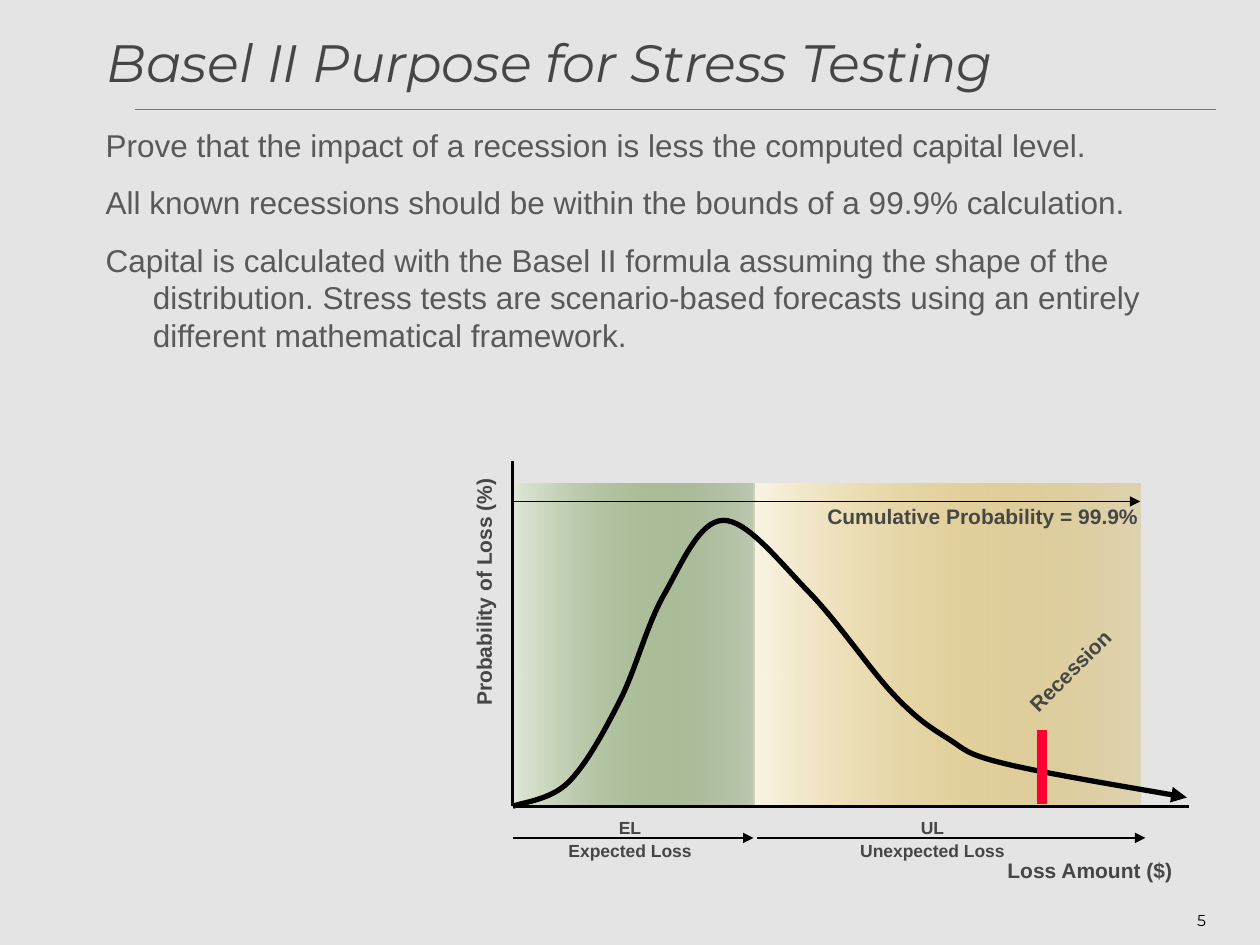
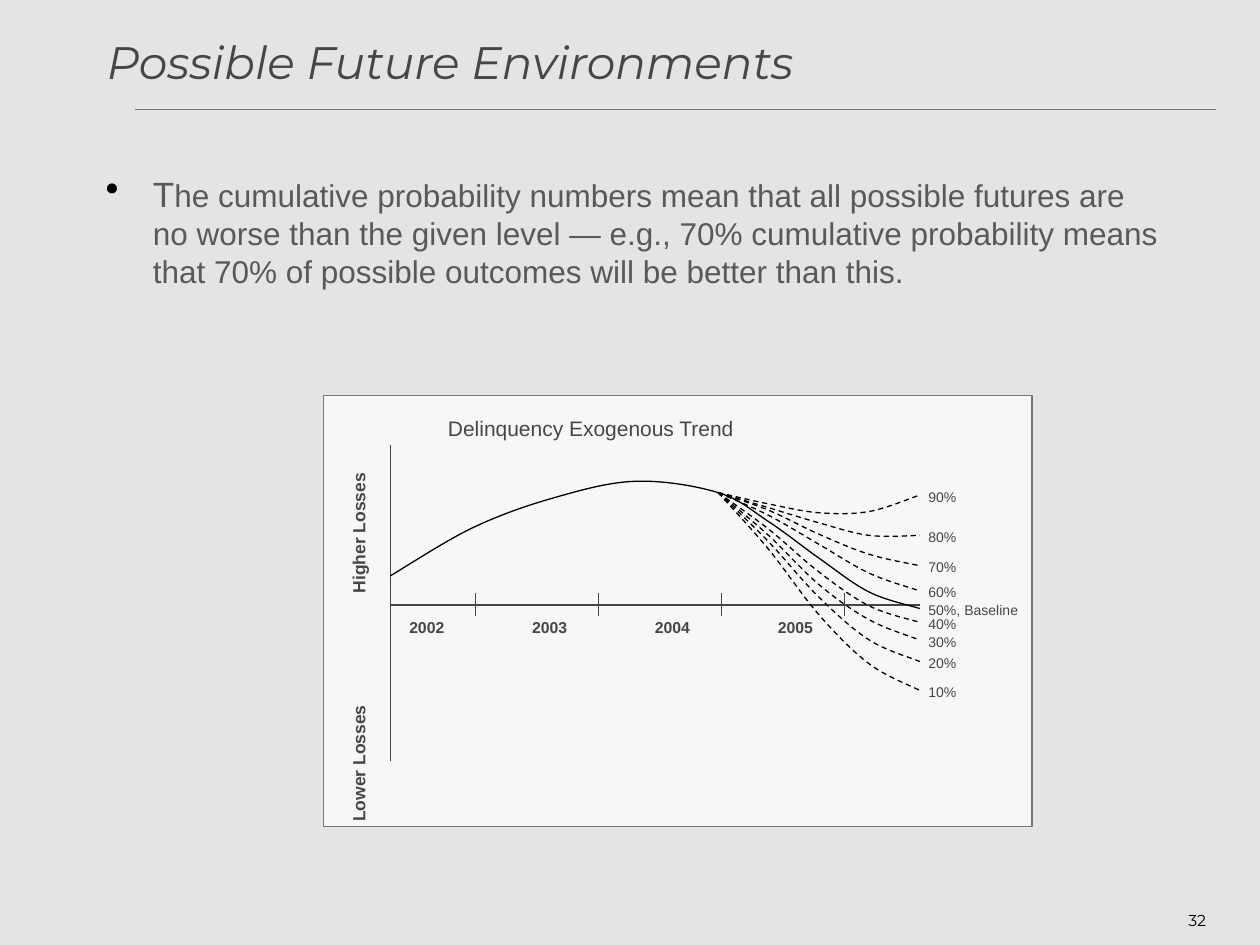
from lxml import etree
from pptx import Presentation
from pptx.dml.color import RGBColor
from pptx.enum.dml import MSO_LINE
from pptx.enum.shapes import MSO_CONNECTOR, MSO_SHAPE
from pptx.enum.text import MSO_ANCHOR, PP_ALIGN
from pptx.oxml.ns import qn
from pptx.util import Inches, Pt

LEFT, MID, RIGHT = PP_ALIGN.LEFT, PP_ALIGN.CENTER, PP_ALIGN.RIGHT
TOP, MIDDLE = MSO_ANCHOR.TOP, MSO_ANCHOR.MIDDLE
STRAIGHT, RECT, DASH = MSO_CONNECTOR.STRAIGHT, MSO_SHAPE.RECTANGLE, MSO_LINE.DASH
SANS, HEAD = "Arial", "Montserrat"
BLACK, DARK, GREY, RULE = "000000", "464646", "595959", "777777"
hue = RGBColor.from_string

deck = Presentation()
deck.slide_width, deck.slide_height = Inches(10), Inches(7.5)
CELL = deck.slide_width // 100  # grid of 100 columns by 75 rows


def write(slide, text, place, size, color=DARK, font=SANS, bold=False, italic=False,
          align=LEFT, anchor=TOP, before=0, lead=1, hang=0, turn=0):
    """Place text at (column, row, columns, rows), one paragraph a line."""
    box = slide.shapes.add_textbox(*[round(n * CELL) for n in place])
    box.rotation = turn
    frame = box.text_frame
    frame.word_wrap, frame.vertical_anchor = True, anchor
    frame.text = text
    for para in frame.paragraphs:
        para.alignment, para.line_spacing = align, lead
        para.space_before = Pt(before)
        if hang:
            props = para._p.get_or_add_pPr()
            props.set("marL", str(round(hang * CELL)))
            props.set("indent", str(round(-hang * CELL)))
        face = para.runs[0].font
        face.name, face.size, face.bold, face.italic = font, Pt(size), bold, italic
        face.color.rgb = hue(color)
    return frame


def stroke(slide, knots, color=BLACK, width=0.75, arrow=False, dash=False):
    """Draw a straight line through two knots, or a smooth curve through more."""
    spots = [(round(x * CELL), round(y * CELL)) for x, y in knots]
    if len(spots) == 2:
        form = slide.shapes.add_connector(STRAIGHT, *spots[0], *spots[1])
    else:
        # Each knot's tangent is parallel to the chord between its neighbours
        chain = [spots[0], *spots, spots[-1]]
        steps = []
        for a, b, c, d in zip(chain, chain[1:], chain[2:], chain[3:]):
            steps += [[q + (r - p) // 6 for p, q, r in zip(a, b, c)],
                      [r - (s - q) // 6 for q, r, s in zip(b, c, d)], c]
        pen = slide.shapes.build_freeform(*spots[0])
        pen.add_line_segments(steps, close=False)
        form = pen.convert_to_shape()
        form.fill.background()
        track = form._element.find(".//" + qn("a:path"))
        for i, step in enumerate(track.findall(qn("a:lnTo"))):
            if i % 3 == 0:
                curve = etree.SubElement(track, qn("a:cubicBezTo"))
            curve.append(step[0])
            track.remove(step)
    form.line.color.rgb, form.line.width = hue(color), Pt(width)
    if dash:
        form.line.dash_style = DASH
    props = form._element.spPr
    if arrow:
        etree.SubElement(props.find(qn("a:ln")), qn("a:tailEnd"), type="triangle")
    etree.SubElement(props, qn("a:effectLst"))


# Shared background, rule, title and page number
back = deck.slide_master.background.fill
back.solid()
back.fore_color.rgb = hue("E4E4E4")
pages = []
for title, size, number in [("Basel II Purpose for Stress Testing", 30, "5"),
                            ("Possible Future Environments", 26, "32")]:
    page = deck.slides.add_slide(deck.slide_layouts[6])
    stroke(page, [(10.7, 8.7), (96.5, 8.7)], RULE)
    write(page, title, (7.5, 2.5, 86, 4.7), size, font=HEAD, italic=True, anchor=MIDDLE)
    write(page, number, (75.9, 71, 20.8, 4), 9, BLACK, HEAD, align=RIGHT, anchor=MIDDLE)
    pages.append(page)
basel, future = pages
body = dict(color=GREY, before=11.2, hang=3.75)

# Purpose: statements
write(basel, "Prove that the impact of a recession is less the computed capital level.\n"
      "All known recessions should be within the bounds of a 99.9% calculation.\n"
      "Capital is calculated with the Basel II formula assuming the shape of the "
      "distribution. Stress tests are scenario-based forecasts using an entirely "
      "different mathematical framework.", (7.4, 9.5, 86.1, 23), 18, **body)

# Purpose: unexpected and expected loss zones
base, split, end = 64, 59.8, 90.5
for left, span, pale, deep in [(split, end - split, "FAF5E5", "CC9900"),
                               (40.9, 19, "DFE7D7", "336600")]:
    zone = basel.shapes.add_shape(
        RECT, *[round(n * CELL) for n in (left, 38.4, span, base - 38.4)])
    zone.shadow.inherit = False
    zone.line.fill.background()
    zone.fill.gradient()
    zone.fill.gradient_angle = 0
    for stop, shade, spot in zip(zone.fill.gradient_stops, (pale, deep), (0, 1)):
        stop.color.rgb, stop.position = hue(shade), spot
    etree.SubElement(stop._gs[0], qn("a:alpha"), val="22000")

# Purpose: axes, loss curve, spans and recession mark
axis = 40.7
for tip in [(axis, 36.6), (94.4, base)]:
    stroke(basel, [(axis, base), tip], width=1.5)
stroke(basel, [(axis, base), (45.1, 62.1), (49.2, 55.6), (52.7, 47.2), (57.4, 41.3),
               (64.2, 47), (70.9, 55.1), (75.2, 58.6), (79.7, 60.6), (94.2, 63.3)],
       width=3, arrow=True)
for left, right, row in [(axis, split, 66.5), (split + 0.3, end + 0.4, 66.5),
                         (axis, end, 39.8)]:
    stroke(basel, [(left, row), (right, row)], arrow=True)
stroke(basel, [(82.7, 63.8), (82.7, 57.9)], "FF0033", 6)

# Futures: bulleted statement with a larger first letter
para = write(future, "T", (7.4, 13.2, 86.1, 54), 20, **body).paragraphs[0]
rest = para.add_run()
rest.text = ("he cumulative probability numbers mean that all possible futures are no worse "
             "than the given level — e.g., 70% cumulative probability means that 70% of "
             "possible outcomes will be better than this.")
rest.font.name, rest.font.size, rest.font.color.rgb = SANS, Pt(18), hue(GREY)
props = para._p.get_or_add_pPr()
tint = etree.SubElement(props, qn("a:buClr"))
etree.SubElement(tint, qn("a:srgbClr"), val=BLACK)
etree.SubElement(props, qn("a:buSzPct"), val="110000")
etree.SubElement(props, qn("a:buChar"), char="•")

# Futures: panel, axes and year ticks
panel = future.shapes.add_shape(
    RECT, *[round(n * CELL) for n in (25.7, 31.4, 56.2, 34.2)])
panel.shadow.inherit = False
panel.fill.solid()
panel.fill.fore_color.rgb = hue("F7F7F7")
panel.line.color.rgb, panel.line.width = hue(RULE), Pt(0.75)
start, zero, last = 31, 48, 73
stroke(future, [(start, 35.3), (start, 60.4)], DARK, 1)
stroke(future, [(start, zero), (last, zero)], DARK, 1)
for i in range(4):
    tick = 37.75 + 9.75 * i
    stroke(future, [(tick, zero - 0.9), (tick, zero + 0.9)], DARK)
    write(future, str(2002 + i), (tick - 6.25, zero + 0.7, 12, 2.4), 9,
          bold=True, before=2.2, lead=0.9)

# Futures: past trend, then scenarios fanning out at equal steps
now, level = 57, 39.1
past = [(start + 6.5 * i, row) for i, row in enumerate([45.7, 41.9, 39.5, 38.2])]
for name, rows in [("90%", (40, 40.7, 40.6, 39.3)),
                   ("80%", (40.3, 41.5, 42.5, 42.5)),
                   ("70%", (40.5, 42.4, 44, 44.9)),
                   ("60%", (40.9, 43.2, 45.5, 46.9)),
                   ("50%, Baseline", (41.4, 44.3, 47, 48.3)),
                   ("40%", (42, 45.4, 48.1, 49.4)),
                   ("30%", (42.5, 46.4, 49.2, 50.8)),
                   ("20%", (43, 47.4, 50.8, 52.5)),
                   ("10%", (43.6, 48.8, 52.7, 54.8))]:
    main = "Baseline" in name
    fan = [(now + 4 * i, row) for i, row in enumerate((level, *rows))]
    stroke(future, past + fan if main else fan, dash=not main)
    write(future, name, (last - 0.3, rows[-1] - 0.9, 10, 2.2), 8, before=2, lead=0.9)

# Labels of both diagrams, centred on a column
for page, text, col, row, size, turn in [
        (basel, "Loss Amount ($)", 86.5, 67.8, 12, 0),
        (basel, "EL\nExpected Loss", 50, 64.5, 10, 0),
        (basel, "UL\nUnexpected Loss", 74, 64.5, 10, 0),
        (basel, "Cumulative Probability = 99.9%", 78, 39.7, 12, 0),
        (basel, "Probability of Loss (%)", 38.5, 45.6, 12, 270),
        (basel, "Recession", 85, 51.9, 12, 315),
        (future, "Lower Losses", 28.7, 59.2, 10, 270),
        (future, "Higher Losses", 28.7, 40.9, 10, 270),
        (future, "Delinquency Exogenous Trend", 46.9, 32.7, 12, 0)]:
    write(page, text, (col - 13.4, row, 26.8, 2.8), size, bold="Trend" not in text,
          align=MID, before=size / 4, lead=0.9, turn=turn)

deck.save("out.pptx")
